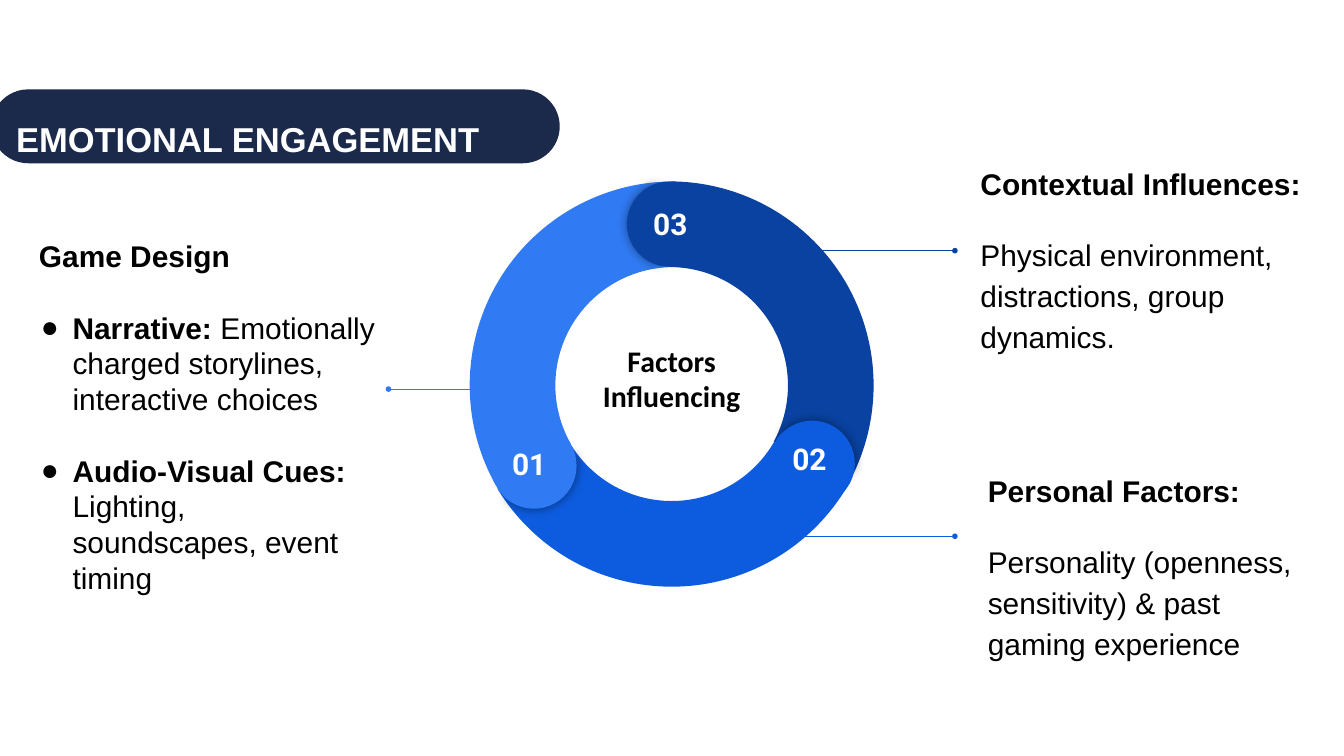
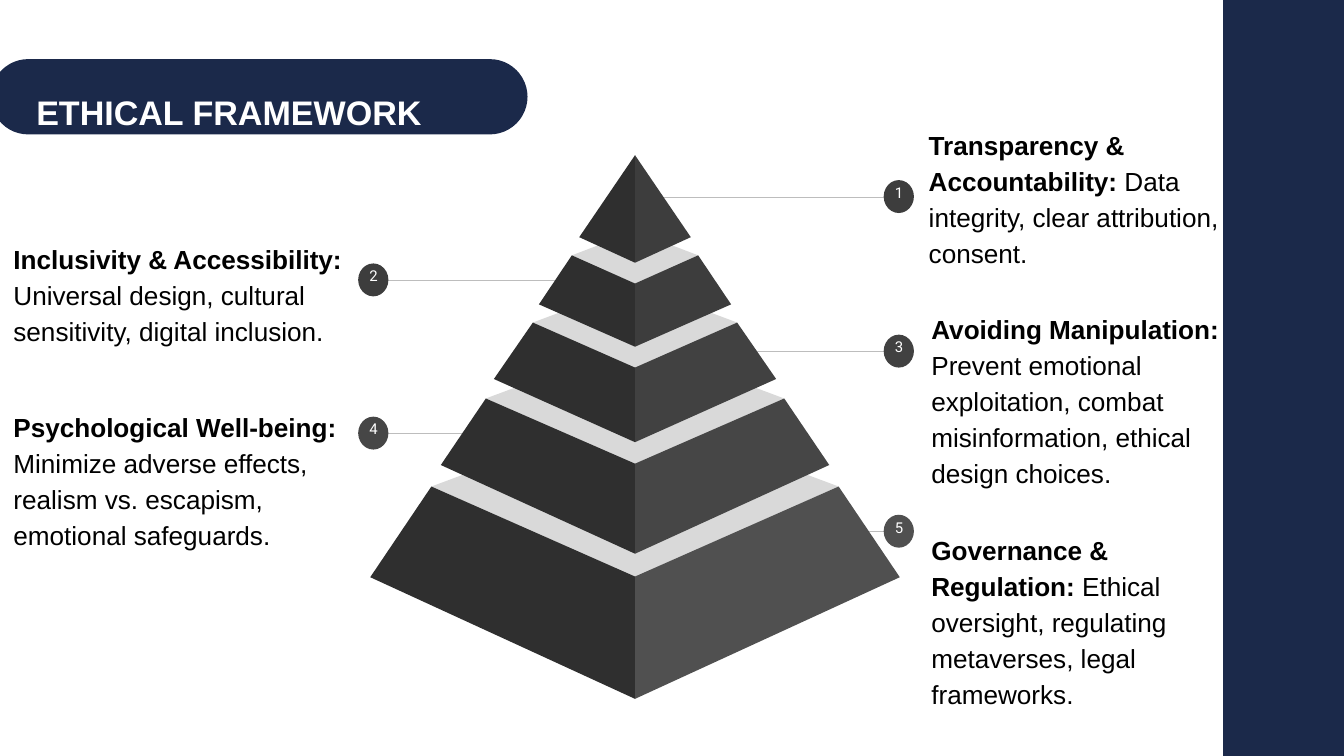
from lxml import etree
from pptx import Presentation
from pptx import util as u
from pptx.dml.color import RGBColor
from pptx.enum import shapes, text
from pptx.oxml import ns

PX = 9144  # one hundredth of an inch in EMU
NAVY, WHITE, BLACK = "1B294A", "FFFFFF", "000000"
BLUE, MID, DEEP = "307AF3", "0D5CDF", "0942A1"
GREY, LID, SHADE = "BDBDBD", "D9D9D9", "2F2F2F"
KIND = shapes.MSO_SHAPE
MIDDLE = text.MSO_ANCHOR.MIDDLE


def px(*vals):
    return [u.Emu(v * PX) for v in vals]


def hue(code):
    return RGBColor.from_string(code)


def sub(node, tag, **attrs):
    return etree.SubElement(node, ns.qn(tag), **attrs)


class Deck:
    face = "Arial"

    def __init__(self):
        self.prs = Presentation()
        self.prs.slide_width, self.prs.slide_height = px(2000, 1125)
        self.page = None

    def start(self, title, band, spot, size):
        """Add a slide with its title on a rounded band."""
        self.page = self.prs.slides.add_slide(self.prs.slide_layouts[5])
        head = self.page.shapes.title
        head.left, head.top, head.width, head.height = px(*spot)
        pill = self.shape(KIND.ROUNDED_RECTANGLE, band, NAVY, adj=[0.5])
        head.element.addprevious(pill.element)
        frame = self.frame(head, 0, text.MSO_ANCHOR.TOP)
        para = frame.paragraphs[0]
        para.text = title
        para.alignment, para.line_spacing = text.PP_ALIGN.LEFT, 1.4
        self.font(para.runs[0], size, WHITE, True)

    def frame(self, item, inset, anchor):
        frame = item.text_frame
        frame.word_wrap, frame.auto_size = True, text.MSO_AUTO_SIZE.NONE
        frame.vertical_anchor = anchor
        gap, = px(inset)
        frame.margin_left = frame.margin_right = gap
        frame.margin_top = frame.margin_bottom = gap
        return frame

    def font(self, run, size, color, bold, face=None):
        run.font.name, run.font.size = face or self.face, u.Pt(size)
        run.font.bold, run.font.color.rgb = bold, hue(color)

    def paint(self, item, color):
        item.shadow.inherit = False
        item.fill.solid()
        item.fill.fore_color.rgb = hue(color)
        item.line.fill.background()
        return item

    def shape(self, kind, box, color, adj=(), turn=0, glow=False):
        item = self.page.shapes.add_shape(kind, *px(*box))
        self.paint(item, color)
        for i, val in enumerate(adj):
            item.adjustments[i] = val
        item.rotation = turn
        if glow:
            fx = item.element.spPr.find(ns.qn("a:effectLst"))
            cast = sub(fx, "a:outerShdw", blurRad="142240", dist="0", dir="0",
                       algn="ctr", rotWithShape="0")
            tint = sub(cast, "a:srgbClr", val=BLACK)
            sub(tint, "a:alpha", val="43000")
        return item

    def poly(self, points, color):
        path = self.page.shapes.build_freeform(*points[0], scale=PX)
        path.add_line_segments(points[1:], close=True)
        self.paint(path.convert_to_shape(), color)

    def line(self, x, end, y, color, dot=False):
        item = self.page.shapes.add_connector(
            shapes.MSO_CONNECTOR.STRAIGHT, *px(x, y, end, y))
        item.line.color.rgb, item.line.width = hue(color), u.Pt(0.75)
        if dot:
            sub(item.line._ln, "a:tailEnd", type="oval")
        sub(item.element.spPr, "a:effectLst")

    def label(self, words, box, size, color=WHITE, bold=True, face="Roboto",
              inset=20, anchor=text.MSO_ANCHOR.TOP):
        """Write one centred paragraph."""
        item = self.page.shapes.add_textbox(*px(*box))
        para = self.frame(item, inset, anchor).paragraphs[0]
        para.text, para.alignment = words, text.PP_ALIGN.CENTER
        self.font(para.runs[0], size, color, bold, face)
        return para

    def prose(self, box, rows, size, anchor=text.MSO_ANCHOR.TOP, before=0,
              after=0, space=None, bullet=False):
        """Write rows of (bold words, plain words)."""
        item = self.page.shapes.add_textbox(*px(*box))
        frame = self.frame(item, 20, anchor)
        for i, (strong, plain) in enumerate(rows):
            para = frame.paragraphs[0] if i == 0 else frame.add_paragraph()
            if bullet and i:
                prop = para._p.get_or_add_pPr()
                prop.set("marL", str(50 * PX))
                prop.set("indent", str(-47 * PX))
                sub(sub(prop, "a:buClr"), "a:srgbClr", val=BLACK)
                sub(prop, "a:buFont", typeface=self.face)
                sub(prop, "a:buChar", char="●")
            para.space_before = u.Pt(before if i else 0)
            para.space_after = u.Pt(after)
            if space and plain:
                para.line_spacing = space
            for words, bold in ((strong, True), (plain, False)):
                if words:
                    run = para.add_run()
                    run.text = words
                    self.font(run, size, BLACK, bold)


def engage(deck):
    deck.start("EMOTIONAL ENGAGEMENT", (-13, 133, 846, 110),
               (24, 151, 849, 62), 37)

    # Factor texts and their leaders
    deck.prose((38, 334, 544, 542), [
        ("Game Design", ""),
        ("Narrative:", " Emotionally charged storylines, interactive choices"),
        ("Audio-Visual Cues:", " Lighting, soundscapes, event timing"),
    ], 32, before=38, bullet=True)
    deck.prose((1439, 226, 561, 352), [
        ("Contextual Influences:", ""),
        ("", "Physical environment, distractions, group dynamics."),
    ], 32, before=32, space=1.15)
    deck.prose((1450, 683, 526, 352), [
        ("Personal Factors:", ""),
        ("", "Personality (openness, sensitivity) & past gaming experience"),
    ], 32, before=32, space=1.15)
    for x, end, y, color in ((716, 578, 579, BLUE), (1140, 1421, 373, DEEP),
                             (1140, 1421, 798, MID)):
        deck.line(x, end, y, color, dot=True)

    # Ring: colour, turn, arc corner, knob corner, number, number corner
    ring = [
        (DEEP, 60, (693, 270), (933, 270), "03", (942, 286)),
        (MID, 180, (696, 266), (1145, 626), "02", (1149, 636)),
        (BLUE, 300, (699, 270), (731, 630), "01", (732, 643)),
    ]
    for color, turn, arc, *_ in ring:
        deck.shape(KIND.BLOCK_ARC, (*arc, 607, 607), color,
                   (126.23, 197.2, 0.21), turn)
    for color, turn, _, knob, num, spot in ring:
        box = (*knob, 127, 127)
        deck.shape(KIND.PIE, box, color, (61.9, 149.96),
                   (turn + 300.6) % 360, glow=True)
        deck.shape(KIND.PIE, box, color, (40.28, 171.84), (turn + 120) % 360)
        deck.label(num, (*spot, 111, 58), 32)
    deck.label("Factors Influencing", (869, 475, 261, 175), 32, BLACK,
               face="Calibri", inset=10, anchor=MIDDLE)


def ethics(deck):
    deck.start("ETHICAL FRAMEWORK", (-14, 88, 799, 112),
               (54, 112, 747, 61), 36.5)
    deck.shape(KIND.RECTANGLE, (1820, 0, 180, 1125), NAVY)

    # Notes: number, line start, dot corner, colour, text box, words
    notes = [
        ("1", 982, (1315, 268), "3D3D3D", (1362, 200, 478),
         "Transparency & Accountability:",
         " Data integrity, clear attribution, consent."),
        ("3", 1102, (1315, 498), "414141", (1366, 500, 478),
         "Avoiding Manipulation:", " Prevent emotional exploitation, "
         "combat misinformation, ethical design choices."),
        ("5", 1216, (1315, 766), "505050", (1366, 829, 472),
         "Governance & Regulation:",
         " Ethical oversight, regulating metaverses, legal frameworks."),
        ("2", 833, (533, 392), "3D3D3D", (0, 343, 532),
         "Inclusivity & Accessibility:",
         " Universal design, cultural sensitivity, digital inclusion."),
        ("4", 733, (533, 620), "464646", (0, 620, 532),
         "Psychological Well-being:", " Minimize adverse effects, "
         "realism vs. escapism, emotional safeguards."),
    ]
    for num, start, (x, y), color, spot, strong, plain in notes:
        deck.line(start, x + 22, y + 25, GREY)
        deck.shape(KIND.OVAL, (x, y, 45, 49), color)
        para = deck.label(num, (x - 5, y - 15, 56, 78), 16, bold=False)
        para.space_after = u.Pt(32)
        deck.prose((*spot, 186), [(strong, plain)], 28, MIDDLE,
                   after=32, space=1.15)

    # Pyramid from the base up: colour, lid back,
    # then half width, side y and middle y of the top and bottom edges
    mid = 945
    tiers = [
        ("505050", 611, (303, 724, 858), (394, 859, 1040)),
        ("464646", 510, (222, 593, 690), (289, 692, 824)),
        ("414141", 423, (152, 480, 547), (210, 564, 658)),
        ("3D3D3D", 344, (94, 380, 422), (143, 453, 516)),
        ("3D3D3D", None, (0, 231, 231), (83, 353, 391)),
    ]
    for color, back, (top, high, front), (base, low, foot) in tiers:
        if back:
            deck.poly([(mid - top, high), (mid, front + 1), (mid + top, high),
                       (mid, back)], LID)
        for side, tone in ((-1, SHADE), (1, color)):
            deck.poly([(mid, front), (mid + side * top, high),
                       (mid + side * base, low), (mid, foot)], tone)


def main():
    deck = Deck()
    engage(deck)
    ethics(deck)
    deck.prs.save("out.pptx")


if __name__ == "__main__":
    main()
